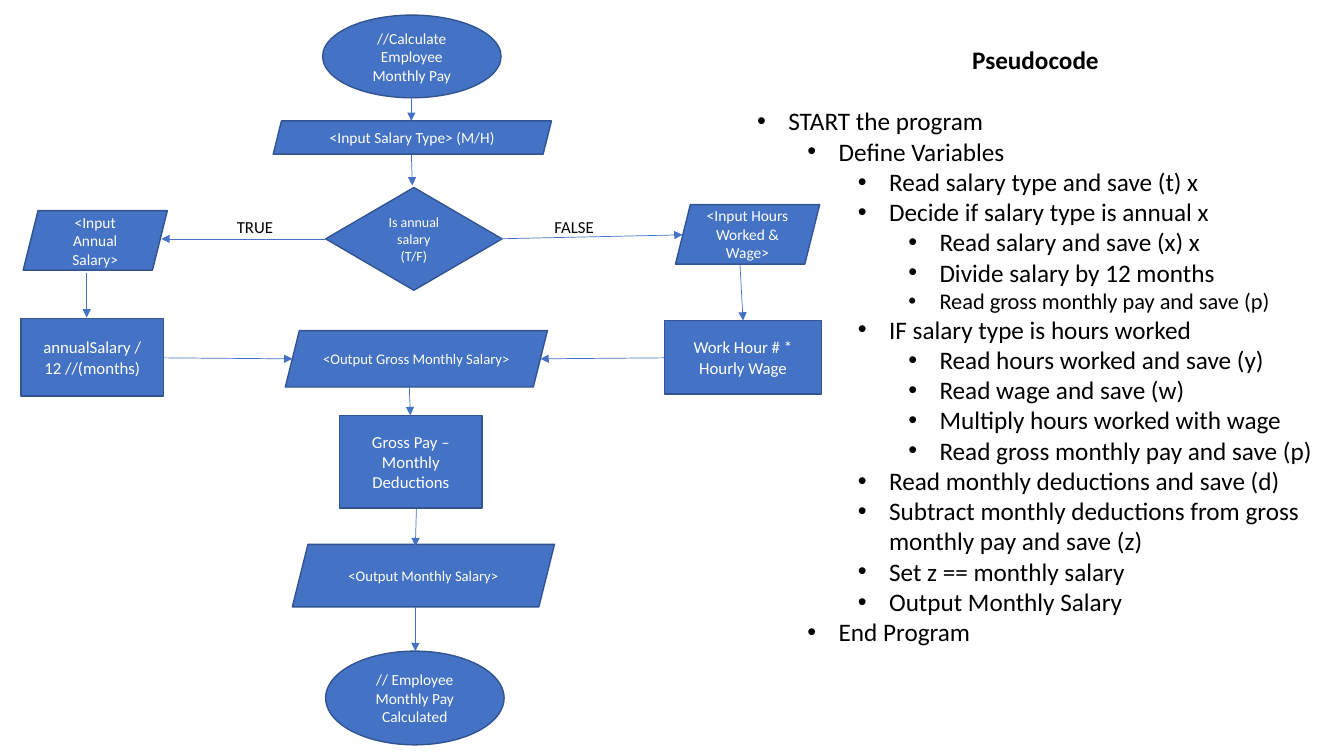
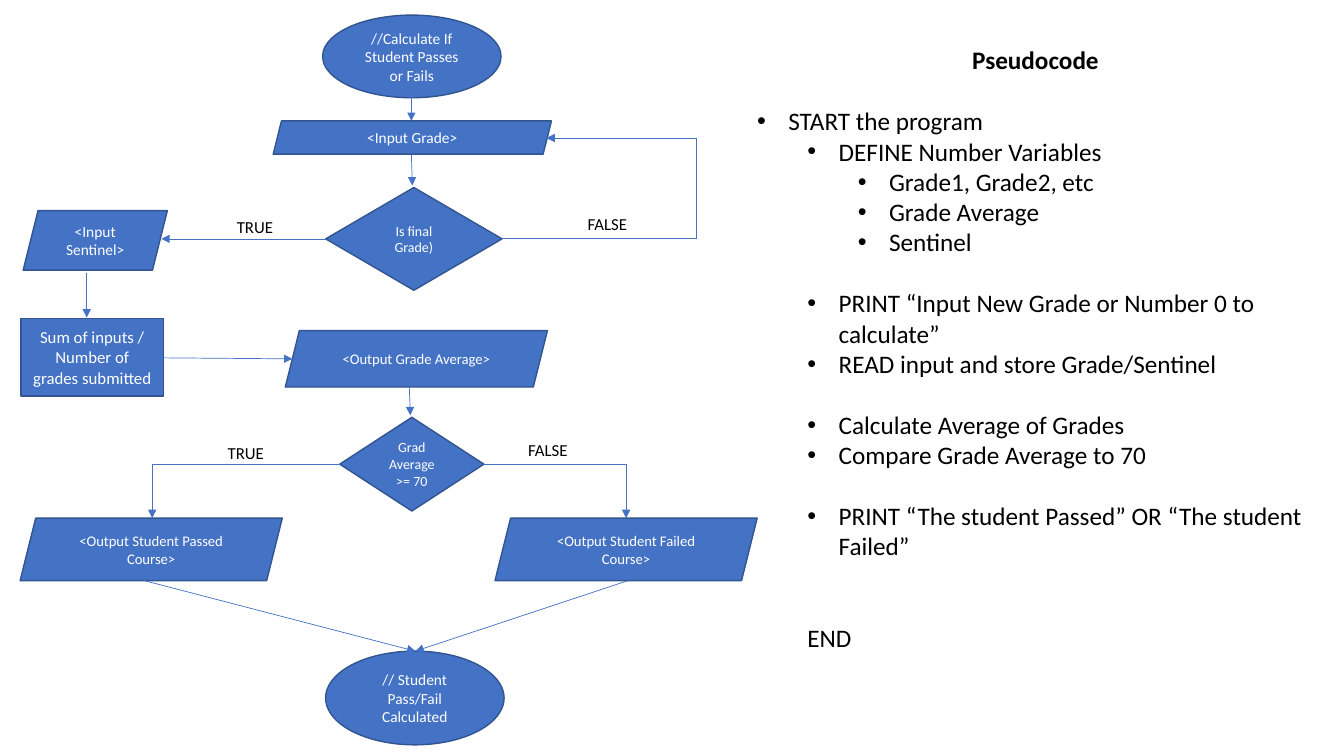
"""Build two flowchart slides with their pseudocode."""
from dataclasses import dataclass
from typing import Any

from lxml.etree import SubElement
from pptx import Presentation
from pptx.dml.color import RGBColor
from pptx.enum.shapes import MSO_CONNECTOR as Conn, MSO_SHAPE as Shp
from pptx.enum.text import MSO_ANCHOR as Anchor, MSO_AUTO_SIZE as Auto, PP_ALIGN as Align
from pptx.oxml.ns import qn
from pptx.util import Inches, Pt

COLORS = {"fill": "4472C4", "outline": "325491", "light": "FFFFFF", "dark": "000000"}
FRAME = {"word_wrap": True, "auto_size": Auto.NONE}
TITLE_FONT = {"name": "Calibri", "size": Pt(18), "bold": True}
BLANK_LINE = 22


@dataclass(frozen=True)
class Spot:
    """Place, outline and text size of a flowchart step."""
    shape: Any
    left: float
    top: float
    width: float
    height: float
    size: float


@dataclass(frozen=True)
class Arrow:
    """Arrow between two points, with an optional elbow preset."""
    x1: float
    y1: float
    x2: float
    y2: float
    bend: str = ""
    adjust: int = 0


@dataclass(frozen=True)
class Label:
    """Branch label beside an arrow."""
    text: str
    left: float
    top: float


@dataclass(frozen=True)
class Line:
    """Line of pseudocode, with blank lines counted before it."""
    level: int
    text: str
    size: float = 18
    gap: int = 0
    bullet: bool = True


@dataclass(frozen=True)
class Chart:
    """Contents of one slide."""
    steps: dict[str, str]
    arrows: list[Arrow]
    labels: list[Label]
    code: list[Line]


SPOTS = {
    "start": Spot(Shp.OVAL, 3.2, 0.15, 1.77, 0.82, 11),
    "input": Spot(Shp.PARALLELOGRAM, 2.71, 1.2, 2.76, 0.33, 11),
    "decision": Spot(Shp.DIAMOND, 3.23, 1.86, 1.75, 1.02, 10),
    "true_input": Spot(Shp.PARALLELOGRAM, 0.23, 2.09, 1.43, 0.59, 11),
    "true_process": Spot(Shp.RECTANGLE, 0.21, 3.16, 1.41, 0.77, 12),
    "false_input": Spot(Shp.PARALLELOGRAM, 6.7, 2.03, 1.43, 0.59, 11),
    "false_process": Spot(Shp.RECTANGLE, 6.59, 3.18, 1.56, 0.73, 12),
    "result": Spot(Shp.PARALLELOGRAM, 2.83, 3.28, 2.6, 0.56, 10.5),
    "deduct": Spot(Shp.RECTANGLE, 3.37, 4.12, 1.41, 0.92, 12),
    "net": Spot(Shp.PARALLELOGRAM, 2.9, 5.4, 2.6, 0.62, 10.5),
    "compare": Spot(Shp.DIAMOND, 3.37, 4.14, 1.43, 0.93, 10),
    "passed": Spot(Shp.PARALLELOGRAM, 0.2, 5.14, 2.6, 0.62, 10.5),
    "failed": Spot(Shp.PARALLELOGRAM, 4.91, 5.14, 2.6, 0.62, 10.5),
    "end": Spot(Shp.OVAL, 3.23, 6.46, 1.77, 0.93, 11),
}
SHARED_ARROWS = [
    Arrow(4.08, 0.96, 4.08, 1.2),
    Arrow(4.08, 1.53, 4.09, 1.84),
    Arrow(3.23, 2.37, 1.6, 2.37),
    Arrow(0.86, 2.71, 0.86, 3.15),
    Arrow(1.61, 3.55, 2.9, 3.56),
    Arrow(4.06, 3.84, 4.07, 4.12),
]
SHARED_LABELS = [Label("TRUE", 2.25, 2.1)]

CHARTS = [
    Chart(
        steps={
            "start": "//Calculate Employee Monthly Pay",
            "input": "<Input Salary Type> (M/H)",
            "decision": "Is annual salary\n(T/F)",
            "true_input": "<Input Annual Salary>",
            "true_process": "annualSalary /\n12 //(months)",
            "false_input": "<Input Hours Worked & Wage>",
            "false_process": "Work Hour # *\nHourly Wage",
            "result": "<Output Gross Monthly Salary>",
            "deduct": "Gross Pay –\nMonthly Deductions",
            "net": "<Output Monthly Salary>",
            "end": "// Employee Monthly Pay\nCalculated",
        },
        arrows=[
            Arrow(4.92, 2.37, 6.77, 2.33),
            Arrow(7.34, 2.63, 7.37, 3.18),
            Arrow(6.59, 3.55, 5.36, 3.56),
            Arrow(4.13, 5.05, 4.12, 5.42),
            Arrow(4.12, 6.02, 4.12, 6.46),
        ],
        labels=[Label("FALSE", 5.4, 2.1)],
        code=[
            Line(0, "START the program"),
            Line(1, "Define Variables"),
            Line(2, "Read salary type and save (t) x"),
            Line(2, "Decide if salary type is annual x"),
            Line(3, "Read salary and save (x) x"),
            Line(3, "Divide salary by 12 months"),
            Line(3, "Read gross monthly pay and save (p)", size=16),
            Line(2, "IF salary type is hours worked"),
            Line(3, "Read hours worked and save (y)"),
            Line(3, "Read wage and save (w)"),
            Line(3, "Multiply hours worked with wage"),
            Line(3, "Read gross monthly pay and save (p)"),
            Line(2, "Read monthly deductions and save (d)"),
            Line(2, "Subtract monthly deductions from gross monthly pay and save (z)"),
            Line(2, "Set z == monthly salary"),
            Line(2, "Output Monthly Salary"),
            Line(1, "End Program"),
        ],
    ),
    Chart(
        steps={
            "start": "//Calculate If Student Passes or Fails",
            "input": "<Input Grade>",
            "decision": "Is final Grade)",
            "true_input": "<Input Sentinel>",
            "true_process": "Sum of inputs /\nNumber of grades submitted",
            "result": "<Output Grade Average>",
            "compare": "Grad Average >= 70",
            "passed": "<Output Student Passed Course>",
            "failed": "<Output Student Failed Course>",
            "end": "// Student Pass/Fail\nCalculated",
        },
        arrows=[
            Arrow(4.98, 2.37, 5.42, 1.37, "bentConnector3", 438300),
            Arrow(3.37, 4.61, 1.51, 5.14, "bentConnector2"),
            Arrow(4.8, 4.61, 6.21, 5.14, "bentConnector2"),
            Arrow(1.43, 5.76, 4.12, 6.46),
            Arrow(6.23, 5.76, 4.12, 6.46),
        ],
        labels=[
            Label("FALSE", 5.73, 2.07),
            Label("TRUE", 2.16, 4.34),
            Label("FALSE", 5.14, 4.31),
        ],
        code=[
            Line(0, "START the program"),
            Line(1, "DEFINE Number Variables"),
            Line(2, "Grade1, Grade2, etc"),
            Line(2, "Grade Average"),
            Line(2, "Sentinel"),
            Line(1, "PRINT “Input New Grade or Number 0 to calculate”", gap=1),
            Line(1, "READ input and store Grade/Sentinel"),
            Line(1, "Calculate Average of Grades", gap=1),
            Line(1, "Compare Grade Average to 70"),
            Line(1, "PRINT “The student Passed” OR “The student Failed”", gap=1),
            Line(1, "END", gap=2, bullet=False),
        ],
    ),
]


def apply(target: Any, values: dict[str, Any]) -> None:
    """Set each format value on the target."""
    for name, value in values.items():
        setattr(target, name, value)


def rgb(name: str) -> RGBColor:
    """Return a named colour."""
    return RGBColor.from_string(COLORS[name])


def style_font(font: Any, size: float, color: str) -> None:
    """Give a font its face, size and colour."""
    apply(font, {"name": "Calibri", "size": Pt(size)})
    font.color.rgb = rgb(color)


def add_title(s: Any, text: str) -> None:
    """Place the slide title above the pseudocode."""
    sp = s.shapes.title
    apply(sp, {"left": Inches(7.41), "top": Inches(0.39),
               "width": Inches(5.72), "height": Inches(0.4)})
    tf = sp.text_frame
    tf.text = text
    apply(tf, FRAME | {"vertical_anchor": Anchor.TOP})
    p = tf.paragraphs[0]
    p.alignment = Align.CENTER
    apply(p.runs[0].font, TITLE_FONT)
    p.runs[0].font.color.rgb = rgb("dark")


def add_step(s: Any, spot: Spot, text: str) -> None:
    """Draw one flowchart step."""
    sp = s.shapes.add_shape(spot.shape, Inches(spot.left), Inches(spot.top),
                            Inches(spot.width), Inches(spot.height))
    sp.shadow.inherit = False
    sp.fill.solid()
    sp.fill.fore_color.rgb = rgb("fill")
    sp.line.color.rgb = rgb("outline")
    sp.line.width = Pt(1)
    tf = sp.text_frame
    tf.text = text
    apply(tf, FRAME | {"vertical_anchor": Anchor.MIDDLE})
    for p in tf.paragraphs:
        p.alignment = Align.CENTER
        style_font(p.runs[0].font, spot.size, "light")


def add_arrow(s: Any, arrow: Arrow) -> None:
    """Draw a straight or bent arrow."""
    kind = Conn.ELBOW if arrow.bend else Conn.STRAIGHT
    c = s.shapes.add_connector(kind, Inches(arrow.x1), Inches(arrow.y1),
                               Inches(arrow.x2), Inches(arrow.y2))
    c.line.color.rgb = rgb("fill")
    c.line.width = Pt(0.5)
    pr = c._element.spPr
    SubElement(pr.find(qn("a:ln")), qn("a:tailEnd"), type="triangle")
    SubElement(pr, qn("a:effectLst"))
    geom = pr.find(qn("a:prstGeom"))
    if arrow.bend:
        geom.set("prst", arrow.bend)
    if arrow.adjust:
        SubElement(geom.find(qn("a:avLst")), qn("a:gd"),
                   name="adj1", fmla=f"val {arrow.adjust}")


def add_label(s: Any, label: Label) -> None:
    """Write a branch label."""
    tf = s.shapes.add_textbox(Inches(label.left), Inches(label.top),
                              Inches(0.95), Inches(0.3)).text_frame
    tf.text = label.text
    apply(tf, FRAME)
    style_font(tf.paragraphs[0].runs[0].font, 12, "dark")


def add_code(s: Any, code: list[Line]) -> None:
    """Write the indented pseudocode."""
    tf = s.shapes.add_textbox(Inches(7.41), Inches(1), Inches(5.72), Inches(6.12)).text_frame
    apply(tf, FRAME)
    for i, line in enumerate(code):
        p = tf.add_paragraph() if i else tf.paragraphs[0]
        apply(p, {"level": line.level, "space_before": Pt(line.gap * BLANK_LINE)})
        r = p.add_run()
        r.text = line.text
        style_font(r.font, line.size, "dark")
        hang = 0.31 if line.bullet else 0
        pr = p._p.get_or_add_pPr()
        pr.set("marL", str(Inches(0.5 * line.level + hang)))
        pr.set("indent", str(Inches(-hang)))
        if line.bullet:
            SubElement(pr, qn("a:buFont"), typeface="Arial")
            SubElement(pr, qn("a:buChar"), char="•")


prs = Presentation()
apply(prs, {"slide_width": Inches(13.33), "slide_height": Inches(7.5)})
for chart in CHARTS:
    s = prs.slides.add_slide(prs.slide_layouts[5])
    add_title(s, "Pseudocode")
    for step, text in chart.steps.items():
        add_step(s, SPOTS[step], text)
    for arrow in SHARED_ARROWS + chart.arrows:
        add_arrow(s, arrow)
    for label in SHARED_LABELS + chart.labels:
        add_label(s, label)
    add_code(s, chart.code)
prs.save("out.pptx")
